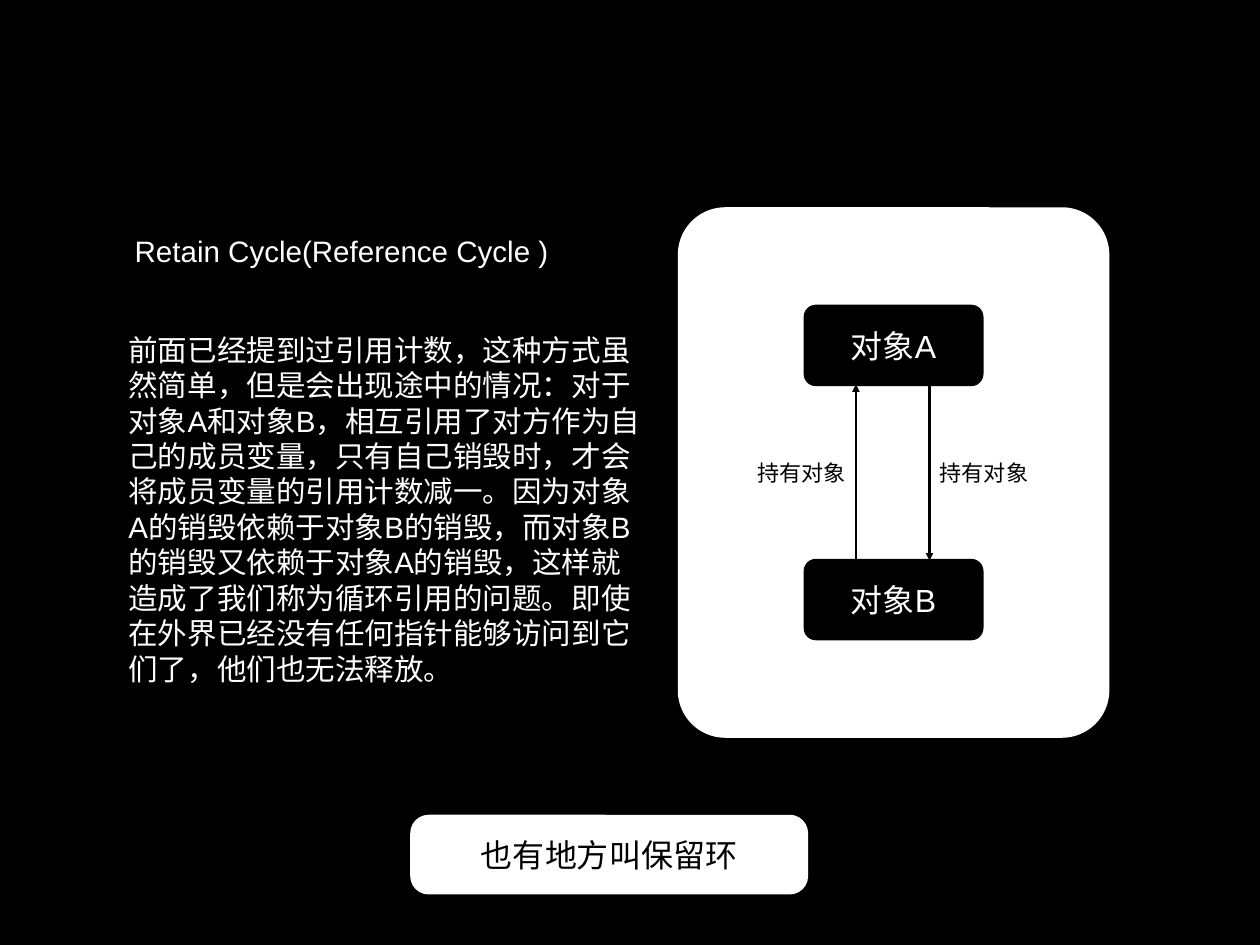
"""Build a slide that explains a retain cycle between two objects."""
from lxml import etree
from pptx import Presentation
from pptx import util as u
from pptx.dml.color import RGBColor
from pptx.enum import lang, shapes, text
from pptx.oxml.ns import qn

PX = 9144
COLORS = {"dark": "000000", "light": "FFFFFF"}
EXPLANATION = (
    "前面已经提到过引用计数，这种方式虽然简单，但是会出现途中的情况："
    "对于对象A和对象B，相互引用了对方作为自己的成员变量，"
    "只有自己销毁时，才会将成员变量的引用计数减一。"
    "因为对象A的销毁依赖于对象B的销毁，而对象B的销毁又依赖于对象A的销毁，"
    "这样就造成了我们称为循环引用的问题。"
    "即使在外界已经没有任何指针能够访问到它们了，他们也无法释放。"
)


def px(*lengths):
    return [u.Emu(length * PX) for length in lengths]


def color(name):
    return RGBColor.from_string(COLORS[name])


def write(shape, words, *, size=24, ink="light", align="LEFT", wrap=True):
    frame = shape.text_frame
    frame.auto_size = text.MSO_AUTO_SIZE.NONE
    frame.word_wrap = wrap
    frame.vertical_anchor = text.MSO_ANCHOR.MIDDLE
    frame.margin_left, frame.margin_top, frame.margin_right, frame.margin_bottom = px(6, 6, 6, 6)
    paragraph = frame.paragraphs[0]
    paragraph.alignment = getattr(text.PP_ALIGN, align)
    run = paragraph.add_run()
    run.text = words
    font = run.font
    font.name, font.size = "Arial", u.Pt(size)
    font.color.rgb = color(ink)
    font.language_id = lang.MSO_LANGUAGE_ID.SIMPLIFIED_CHINESE


class SlideBuilder:
    def __init__(self, slide, background):
        self.slide = slide
        slide.background.fill.solid()
        slide.background.fill.fore_color.rgb = color(background)

    def title(self, box, words):
        shape = self.slide.shapes.title
        shape.left, shape.top, shape.width, shape.height = px(*box)
        write(shape, words)

    def label(self, box, words, **style):
        write(self.slide.shapes.add_textbox(*px(*box)), words, **style)

    def panel(self, box, fill, rounding, words=None, ink="light"):
        shape = self.slide.shapes.add_shape(shapes.MSO_SHAPE.ROUNDED_RECTANGLE, *px(*box))
        shape.adjustments[0] = rounding
        shape.shadow.inherit = False
        shape.fill.solid()
        shape.fill.fore_color.rgb = color(fill)
        shape.line.fill.background()
        if words:
            write(shape, words, size=26, ink=ink, align="CENTER")

    def arrow(self, x, start, end):
        connector = self.slide.shapes.add_connector(
            shapes.MSO_CONNECTOR.STRAIGHT, *px(x, start, x, end))
        connector.line.width = u.Pt(2)
        connector.line.color.rgb = color("dark")
        line = connector.line._get_or_add_ln()
        etree.SubElement(line, qn("a:tailEnd"), type="triangle")
        etree.SubElement(connector._element.spPr, qn("a:effectLst"))


def main():
    presentation = Presentation()
    presentation.slide_width, presentation.slide_height = px(1422, 1067)
    slide = presentation.slides.add_slide(presentation.slide_layouts[5])
    builder = SlideBuilder(slide, "dark")

    builder.title((146, 257, 488, 51), "Retain Cycle(Reference Cycle )")
    builder.label((139, 340, 594, 469), EXPLANATION)

    builder.panel((765, 234, 487, 599), "light", 0.11)
    for top, name in ((344, "对象A"), (631, "对象B")):
        builder.panel((907, top, 203, 92), "dark", 0.15, name)
    for x, start, end, label_left in ((966, 633, 434, 848), (1049, 434, 633, 1054)):
        builder.arrow(x, start, end)
        builder.label((label_left, 511, 113, 46), "持有对象",
                      size=18, ink="dark", align="CENTER", wrap=False)

    builder.panel((463, 920, 449, 90), "light", 0.23, "也有地方叫保留环", ink="dark")
    presentation.save("out.pptx")


if __name__ == "__main__":
    main()
